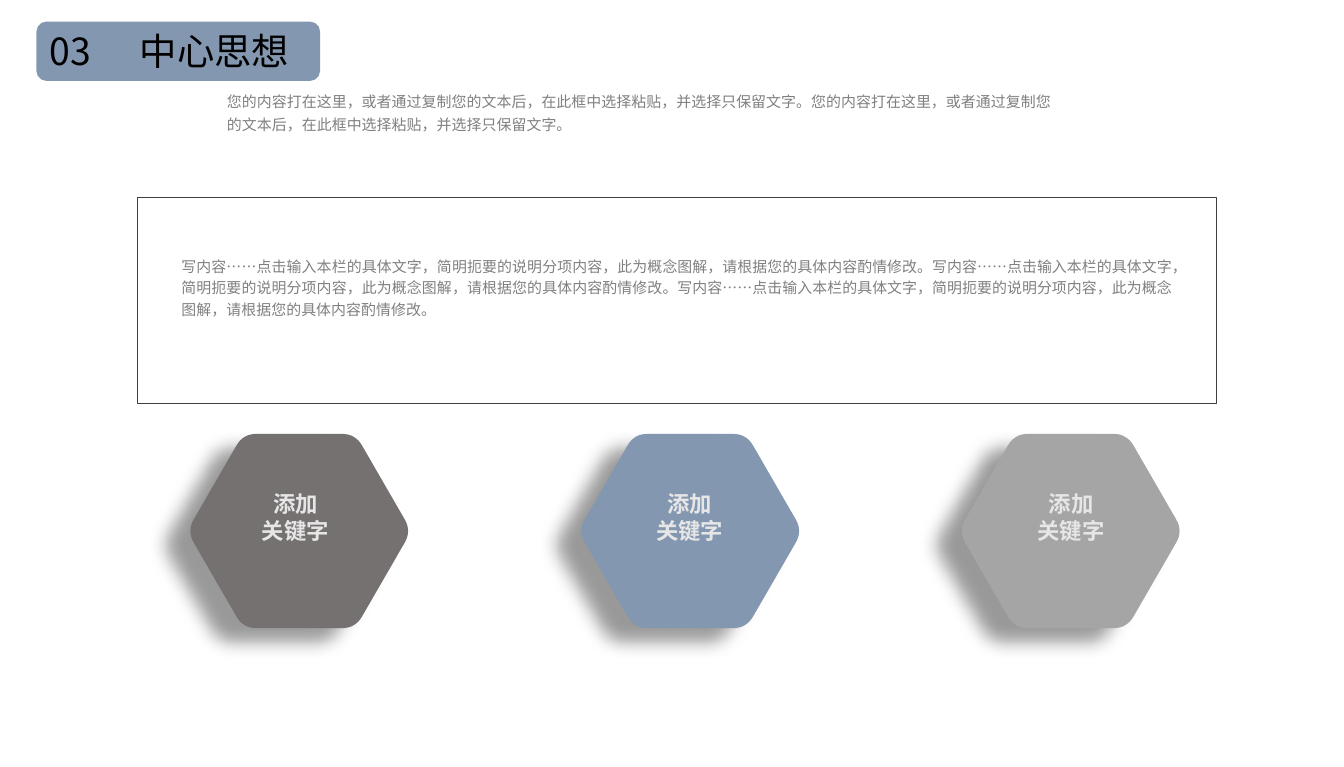
from math import cos, pi, sin

from lxml import etree
from pptx import Presentation
from pptx.dml.color import RGBColor
from pptx.enum import shapes, text
from pptx.oxml import ns
from pptx.util import Cm, Pt

FONT = "Noto Sans CJK SC"
BLUE, GREY = "8497B0", "808080"
KIND, ALIGN = shapes.MSO_SHAPE, text.PP_ALIGN

LEAD = "您的内容打在这里，或者通过复制您的文本后，在此框中选择粘贴，并选择只保留文字。"
BODY = "写内容……点击输入本栏的具体文字，简明扼要的说明分项内容，此为概念图解，请根据您的具体内容酌情修改。"


def color(code):
    return RGBColor.from_string(code)


def lengths(box):
    return [Cm(value) for value in box]


def paint(shape, fill=None, line=None):
    shape.shadow.inherit = False
    if fill:
        shape.fill.solid()
        shape.fill.fore_color.rgb = color(fill)
    else:
        shape.fill.background()
    if line:
        shape.line.color.rgb = color(line)
        shape.line.width = Pt(0.25)
    else:
        shape.line.fill.background()


def write(shape, words, size, tone, align=ALIGN.LEFT, gap=None, bold=False,
          wrap=True, inset=(0.25, 0.13)):
    frame = shape.text_frame
    frame.text = words
    frame.word_wrap = wrap
    frame.auto_size = text.MSO_AUTO_SIZE.NONE
    frame.vertical_anchor = text.MSO_ANCHOR.TOP
    frame.margin_left = frame.margin_right = Cm(inset[0])
    frame.margin_top = frame.margin_bottom = Cm(inset[1])
    for para in frame.paragraphs:
        para.alignment = align
        para.line_spacing = gap
        for run in para.runs:
            font = run.font
            font.name, font.size, font.bold = FONT, Pt(size), bold
            font.color.rgb = color(tone)
            east = etree.SubElement(run._r.get_or_add_rPr(), ns.qn("a:ea"))
            east.set("typeface", FONT)


def label(slide, box, *args, **style):
    write(slide.shapes.add_textbox(*lengths(box)), *args, **style)


def header(slide, left, top, width, height):
    bar = slide.shapes.add_shape(
        KIND.ROUNDED_RECTANGLE, *lengths((left, top, width, height)))
    paint(bar, BLUE)
    label(slide, (left, top, 1.35, height), "03", 20, "000000", wrap=False)
    title = slide.shapes.title
    title.left, title.top, title.width, title.height = lengths(
        (left + 1.7, top, 3.35, height))
    write(title, "中心思想", 20, "000000", wrap=False)
    # Bring the title in front of the bar
    slide.shapes._spTree.append(title._element)


def panel(slide, left, top, width, height):
    frame = slide.shapes.add_shape(
        KIND.RECTANGLE, *lengths((left, top, width, height)))
    paint(frame, line="404040")
    label(slide, (left + 0.84, top + 1.07, 18.75, 1.22), BODY * 3, 8, GREY,
          align=ALIGN.JUSTIFY, gap=1.2, inset=(0, 0))


def outline(midx, midy, radius, cut=0.12, steps=8):
    """Points of a regular hexagon whose corners are rounded by curves."""
    ring = [(midx + radius * cos(i * pi / 3), midy + radius * sin(i * pi / 3))
            for i in range(6)]
    points = []
    for i, tip in enumerate(ring):
        prev, after = ring[i - 1], ring[(i + 1) % 6]
        start, end = [[t + (s - t) * cut for t, s in zip(tip, side)]
                      for side in (prev, after)]
        for k in range(steps + 1):
            t = k / steps
            points.append([Cm((1 - t) ** 2 * a + 2 * t * (1 - t) * b + t * t * c)
                           for a, b, c in zip(start, tip, end)])
    return points


def shade(shape):
    effects = shape._element.spPr.find(ns.qn("a:effectLst"))
    outer = etree.SubElement(
        effects, ns.qn("a:outerShdw"), blurRad=str(Pt(10)), dist=str(Pt(15)),
        dir=str(150 * 60000), algn="ctr", rotWithShape="0")
    tone = etree.SubElement(outer, ns.qn("a:srgbClr"), val="000000")
    etree.SubElement(tone, ns.qn("a:alpha"), val="40000")


def badge(slide, left, top, width, height, fill, shift):
    first, *rest = outline(left + width / 2, top + height / 2, 2.12)
    pen = slide.shapes.build_freeform(*first)
    pen.add_line_segments(rest, close=True)
    shape = pen.convert_to_shape()
    paint(shape, fill)
    shade(shape)
    label(slide, (left + shift, top + 1.07, 2.69, 1.02), "添加\n关键字", 12,
          "E6E6E6", align=ALIGN.CENTER, bold=True, inset=(0, 0))


def main():
    deck = Presentation()
    deck.slide_width, deck.slide_height = Cm(25.4), Cm(14.5)
    slide = deck.slides.add_slide(deck.slide_layouts[5])
    header(slide, 0.69, 0.41, 5.36, 1.12)
    label(slide, (4.04, 1.52, 16.36, 1.09), LEAD * 2, 8, GREY, gap=1.3)
    panel(slide, 2.59, 3.73, 20.4, 3.89)
    for left, fill, shift in ((3.61, "767171", 0.63), (11, BLUE, 0.69),
                              (18.19, "A5A5A5", 0.71)):
        badge(slide, left, 8.2, 4.09, 3.68, fill, shift)
    deck.save("out.pptx")


if __name__ == "__main__":
    main()
